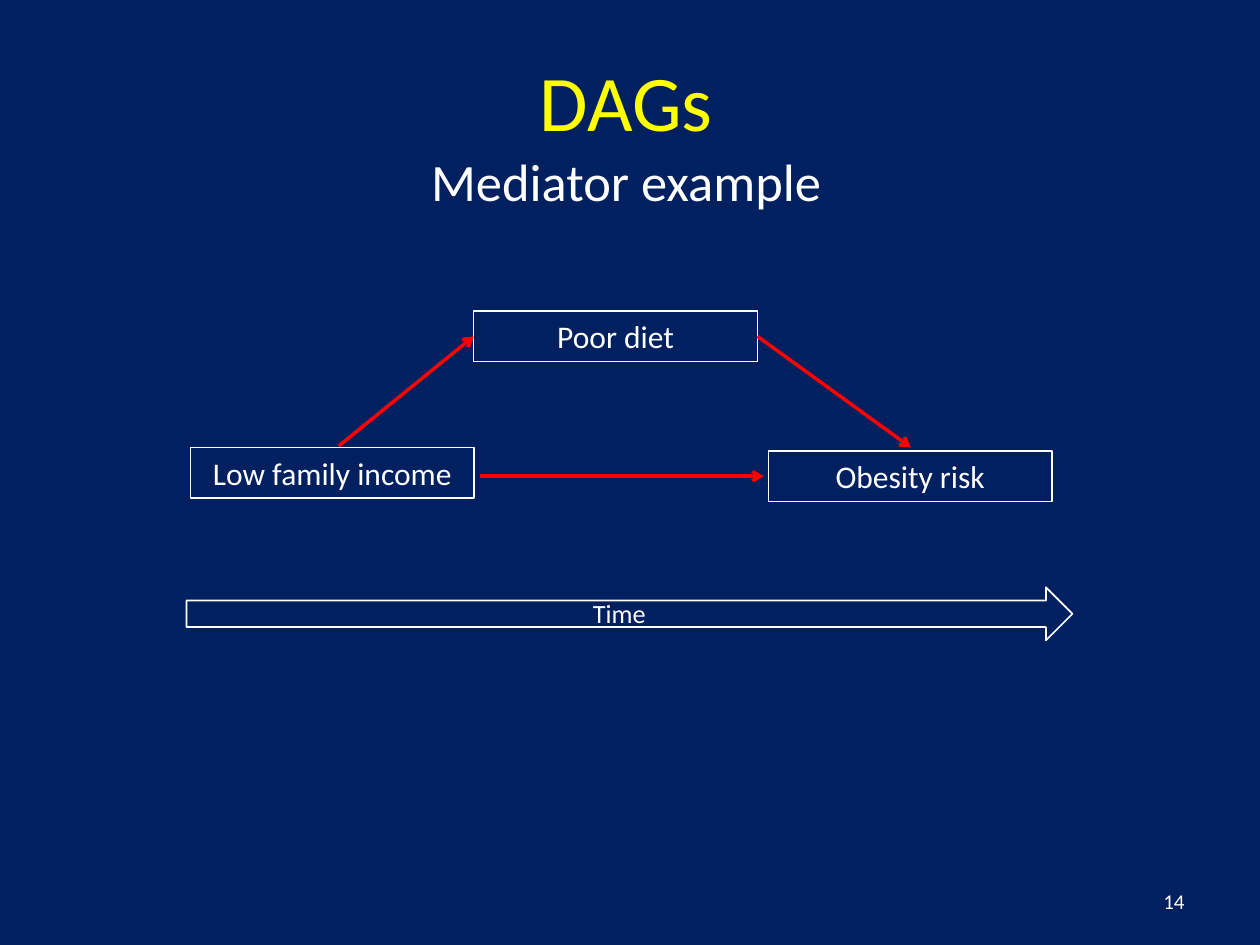
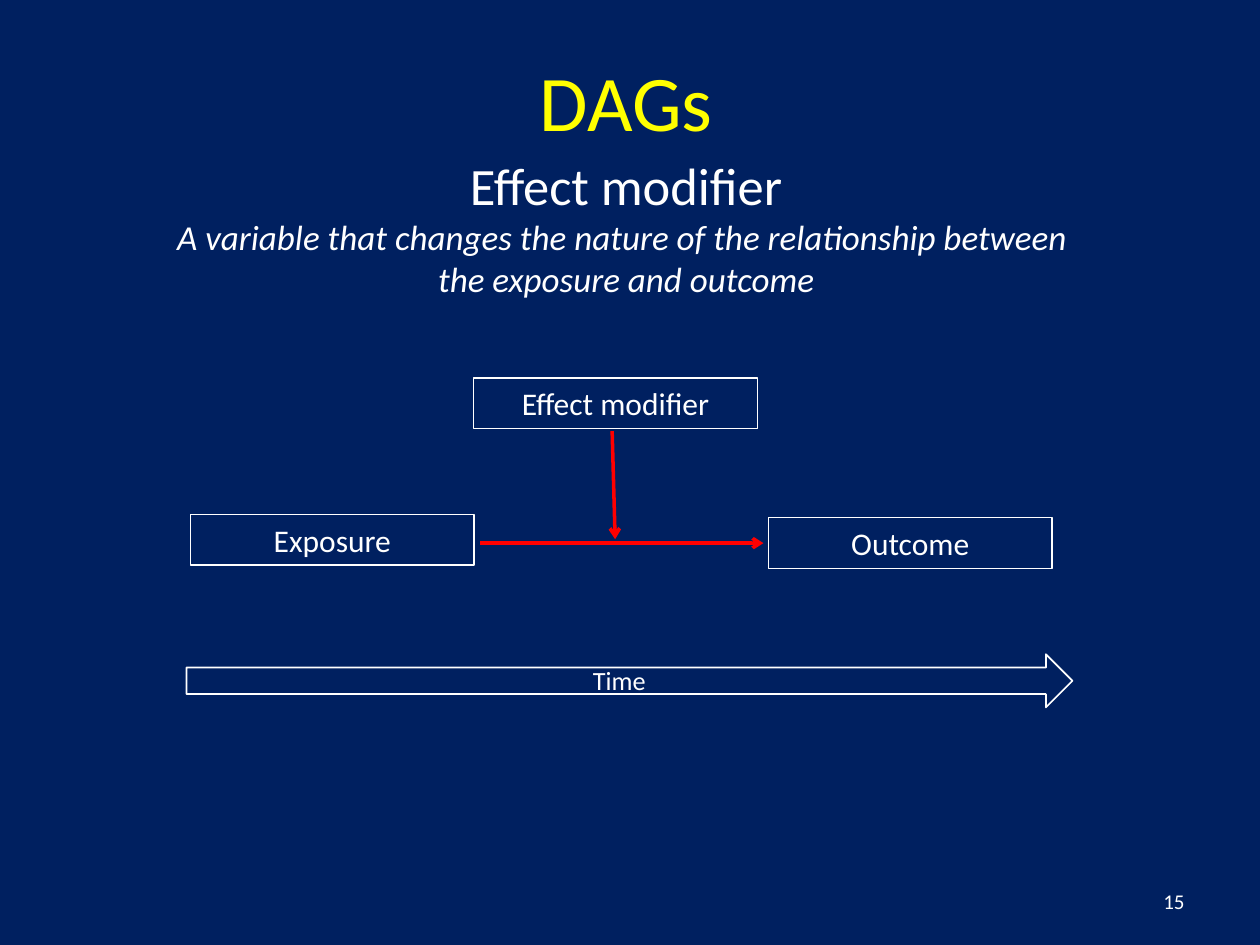
from lxml import etree
from pptx import Presentation
from pptx.dml.color import RGBColor
from pptx.enum.shapes import MSO_CONNECTOR, MSO_SHAPE
from pptx.enum.text import MSO_ANCHOR, PP_ALIGN
from pptx.oxml.ns import qn
from pptx.util import Cm, Pt

STRAIGHT = MSO_CONNECTOR.STRAIGHT
RECTANGLE, RIGHT_ARROW = MSO_SHAPE.RECTANGLE, MSO_SHAPE.RIGHT_ARROW
MIDDLE = MSO_ANCHOR.MIDDLE
CENTER, RIGHT = PP_ALIGN.CENTER, PP_ALIGN.RIGHT

FONT = "Calibri"
COLORS = {"background": "002060", "title": "FFFF00", "text": "FFFFFF", "path": "FF0000"}
HEADING = (-1.98, 29.21, 3.18)  # left, width, height of title and subtitle
NODE_WIDTH, NODE_HEIGHT = 5.72, 1.02
LEFT_NODE, MIDDLE_NODE, RIGHT_NODE = (3.84, 2.75), (9.55, 0), (15.49, 2.82)
DIRECT_PATH = (9.68, 3.33, 15.39, 3.33)

# Node and path heights are measured down from the diagram's top.
SLIDES = [
    {
        "number": "14",
        "subtitle": [("Mediator example", 30, False)],
        "subtitle_top": 2.06,
        "diagram_top": 6.27,
        "nodes": ["Low family income", "Poor diet", "Obesity risk"],
        "paths": [DIRECT_PATH, (6.83, 2.72, 9.55, 0.51), (15.27, 0.51, 18.36, 2.75)],
    },
    {
        "number": "15",
        "subtitle": [
            ("Effect modifier", 30, False),
            ("A variable that changes the nature of the relationship between ", 20, True),
            ("the exposure and outcome", 20, True),
        ],
        "subtitle_top": 2.97,
        "diagram_top": 7.62,
        "nodes": ["Exposure", "Effect modifier", "Outcome"],
        "paths": [DIRECT_PATH, (12.34, 1.07, 12.4, 3.25)],
    },
]


def add_text(page, lines, left, top, width, height, color="text", align=CENTER,
             outlined=False):
    """Add a box of (text, size, italic) lines, optionally as an outlined rectangle."""
    place = Cm(left), Cm(top), Cm(width), Cm(height)
    if outlined:
        box = page.shapes.add_shape(RECTANGLE, *place)
        box.shadow.inherit = False
        box.fill.background()
        box.line.color.rgb = RGBColor.from_string(COLORS["text"])
        box.line.width = Pt(0.75)
    else:
        box = page.shapes.add_textbox(*place)
    frame = box.text_frame
    frame.word_wrap = True
    frame.vertical_anchor = MIDDLE
    for index, (text, size, italic) in enumerate(lines):
        para = frame.add_paragraph() if index else frame.paragraphs[0]
        para.alignment = align
        span = para.add_run()
        span.text = text
        span.font.name = FONT
        span.font.size = Pt(size)
        span.font.italic = italic
        span.font.color.rgb = RGBColor.from_string(COLORS[color])


def add_path(page, start_x, start_y, end_x, end_y):
    """Add a red line with an open arrowhead at its end."""
    path = page.shapes.add_connector(STRAIGHT, Cm(start_x), Cm(start_y), Cm(end_x), Cm(end_y))
    path.line.color.rgb = RGBColor.from_string(COLORS["path"])
    path.line.width = Pt(2)
    etree.SubElement(path.line._get_or_add_ln(), qn("a:tailEnd"), type="arrow")
    etree.SubElement(path._element.spPr, qn("a:effectLst"))


deck = Presentation()
deck.slide_width, deck.slide_height = Cm(25.4), Cm(19.05)

for content in SLIDES:
    page = deck.slides.add_slide(deck.slide_layouts[6])
    page.background.fill.solid()
    page.background.fill.fore_color.rgb = RGBColor.from_string(COLORS["background"])

    left, width, height = HEADING
    add_text(page, [("DAGs", 45, False)], left, 0.43, width, height, color="title")
    add_text(page, content["subtitle"], left, content["subtitle_top"], width, height)
    add_text(page, [(content["number"], 12, False)], 18.21, 17.65, 5.92, 1.02, align=RIGHT)

    diagram_top = content["diagram_top"]
    for name, (left, drop) in zip(content["nodes"], (LEFT_NODE, MIDDLE_NODE, RIGHT_NODE)):
        add_text(page, [(name, 18, False)], left, diagram_top + drop,
                 NODE_WIDTH, NODE_HEIGHT, outlined=True)
    for start_x, start_y, end_x, end_y in content["paths"]:
        add_path(page, start_x, diagram_top + start_y, end_x, diagram_top + end_y)

    time_arrow = page.shapes.add_shape(
        RIGHT_ARROW, Cm(3.76), Cm(diagram_top + 5.57), Cm(17.86), Cm(1.07))
    time_arrow.shadow.inherit = False
    time_arrow.fill.background()
    time_arrow.line.color.rgb = RGBColor.from_string(COLORS["text"])
    time_arrow.line.width = Pt(1)
    add_text(page, [("Time", 15, False)], 10.49, diagram_top + 5.64, 3.99, 0.89)

deck.save("out.pptx")
